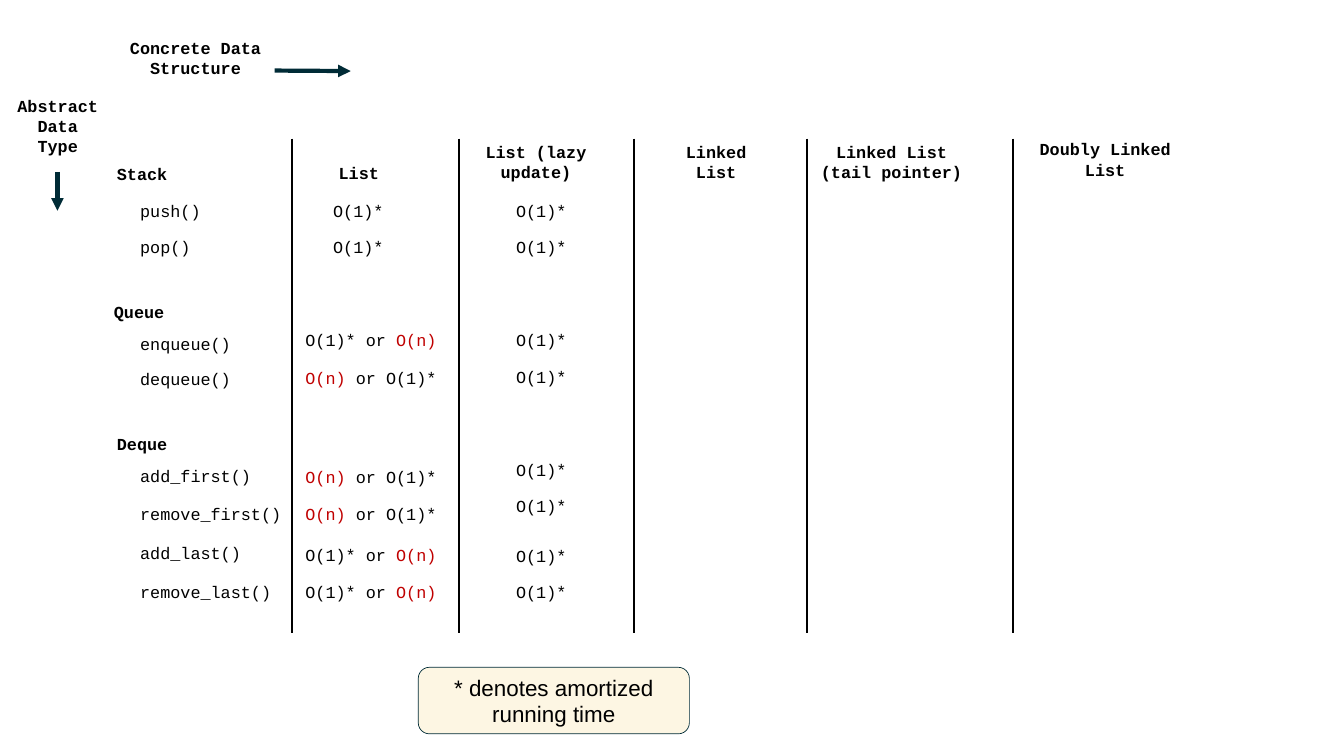
from lxml.etree import SubElement
from pptx import Presentation
from pptx.dml.color import RGBColor
from pptx.enum.shapes import MSO_CONNECTOR, MSO_SHAPE
from pptx.enum.text import MSO_ANCHOR, MSO_AUTO_SIZE, PP_ALIGN
from pptx.oxml.ns import qn
from pptx.util import Inches, Pt

COLORS = {"text": "000000", "slow": "C00000", "dark": "002B36", "cream": "FDF6E3"}
CODE_FONT = "Courier New"
LINE_HEIGHT = 0.4
CHAR_WIDTH = 0.2
INSET = 0.06
SLOW = "O(n)"

# Heading, left, top, width and number of lines within the grid
HEADINGS = [
    ("List", 4.46, 0.46, 0.92, 1),
    ("List (lazy update)", 7.11, 0.05, 2.65, 2),
    ("Linked List", 10.97, 0.05, 2.08, 2),
    ("Linked List (tail pointer)", 13.84, 0.05, 3.3, 2),
    ("Doubly Linked List", 18.08, 0, 3.3, 2),
]
DIVIDERS = [3.59, 6.9, 10.38, 13.81, 17.91]

# Abstract type, left, top
ABSTRACT_TYPES = [("Stack", 0.06, 0.48), ("Queue", 0, 3.23), ("Deque", 0.06, 5.85)]

# Operation, list cost, then tops of the operation, list and lazy list cells
OPERATIONS = [
    ("push()", "O(1)*", 1.22, 1.22, 1.22),
    ("pop()", "O(1)*", 1.94, 1.94, 1.94),
    ("enqueue()", "O(1)* or O(n)", 3.87, 3.79, 3.79),
    ("dequeue()", "O(n) or O(1)*", 4.56, 4.54, 4.51),
    ("add_first()", "O(n) or O(1)*", 6.47, 6.49, 6.36),
    ("remove_first()", "O(n) or O(1)*", 7.24, 7.24, 7.07),
    ("add_last()", "O(1)* or O(n)", 8.01, 8.04, 8.06),
    ("remove_last()", "O(1)* or O(n)", 8.79, 8.79, 8.78),
]
OPERATION_LEFT, LAZY_LEFT = 0.52, 7.98
LIST_LEFT = {"O(1)*": 4.35, "O(1)* or O(n)": 3.8, "O(n) or O(1)*": 3.8}


def color(name):
    return RGBColor.from_string(COLORS[name])


def set_text(shape, text, size, font, bold=False, wrap=True):
    """Centre the text and colour the slow running time."""
    frame = shape.text_frame
    frame.word_wrap = wrap
    frame.auto_size = MSO_AUTO_SIZE.SHAPE_TO_FIT_TEXT
    frame.vertical_anchor = MSO_ANCHOR.MIDDLE
    frame.margin_left = frame.margin_right = Inches(INSET)
    frame.margin_top = frame.margin_bottom = Inches(INSET)
    paragraph = frame.paragraphs[0]
    paragraph.alignment = PP_ALIGN.CENTER
    for part in filter(None, text.partition(SLOW)):
        run = paragraph.add_run()
        run.text = part
        run.font.size = Pt(size)
        run.font.name = font
        run.font.bold = bold
        run.font.color.rgb = color("slow" if part == SLOW else "text")


def add_label(slide, text, left, top, width=None, lines=1, bold=False):
    """Without a width the label is one unwrapped line."""
    wrap = width is not None
    width = width or len(text) * CHAR_WIDTH + 2 * INSET
    label = slide.shapes.add_textbox(
        Inches(left), Inches(top), Inches(width), Inches(lines * LINE_HEIGHT + 2 * INSET)
    )
    set_text(label, text, 24, CODE_FONT, bold, wrap)


def add_line(slide, start, end, line_color, weight, arrow=False):
    line = slide.shapes.add_connector(
        MSO_CONNECTOR.STRAIGHT, *(Inches(value) for value in (*start, *end))
    )
    line.line.color.rgb = color(line_color)
    line.line.width = Pt(weight)
    if arrow:
        SubElement(line.line._get_or_add_ln(), qn("a:tailEnd"), type="triangle")
    SubElement(line._element.spPr, qn("a:effectLst"))


def add_axes(slide, left, top):
    # Rows: abstract data types
    add_label(slide, "Abstract Data Type", left, top + 1.14, 1.87, 3, bold=True)
    add_line(slide, (left + 0.93, top + 2.72), (left + 0.93, top + 3.49), "dark", 6, arrow=True)
    # Columns: concrete data structures
    add_label(slide, "Concrete Data Structure", left + 2.09, top, 3.16, 2, bold=True)
    add_line(slide, (left + 5.24, top + 0.71), (left + 6.75, top + 0.72), "dark", 6, arrow=True)


def add_comparison(slide, left, top, height):
    # Column headings
    for text, x, y, width, lines in HEADINGS:
        add_label(slide, text, left + x, top + y, width, lines, bold=True)
    # Operations and their running times
    for operation, list_cost, operation_top, list_top, lazy_top in OPERATIONS:
        add_label(slide, operation, left + OPERATION_LEFT, top + operation_top)
        add_label(slide, list_cost, left + LIST_LEFT[list_cost], top + list_top)
        add_label(slide, "O(1)*", left + LAZY_LEFT, top + lazy_top)
    # Column dividers
    for x in DIVIDERS:
        add_line(slide, (left + x, top + 0.05), (left + x, top + height), "text", 3)
    # Row groups
    for name, x, y in ABSTRACT_TYPES:
        add_label(slide, name, left + x, top + y, bold=True)


def add_footnote(slide, left, top, width, height):
    note = slide.shapes.add_shape(
        MSO_SHAPE.ROUNDED_RECTANGLE, Inches(left), Inches(top), Inches(width), Inches(height)
    )
    note.shadow.inherit = False
    note.fill.solid()
    note.fill.fore_color.rgb = color("cream")
    note.line.color.rgb = color("dark")
    note.line.width = Pt(1)
    set_text(note, "* denotes amortized running time", 32, "Arial")


def main():
    presentation = Presentation()
    presentation.slide_width = Inches(26.67)
    presentation.slide_height = Inches(15)
    slide = presentation.slides.add_slide(presentation.slide_layouts[6])
    add_comparison(slide, 2.2, 2.7, 9.86)
    add_footnote(slide, 8.3, 13.24, 5.38, 1.32)
    add_axes(slide, 0.21, 0.69)
    presentation.save("out.pptx")


if __name__ == "__main__":
    main()
